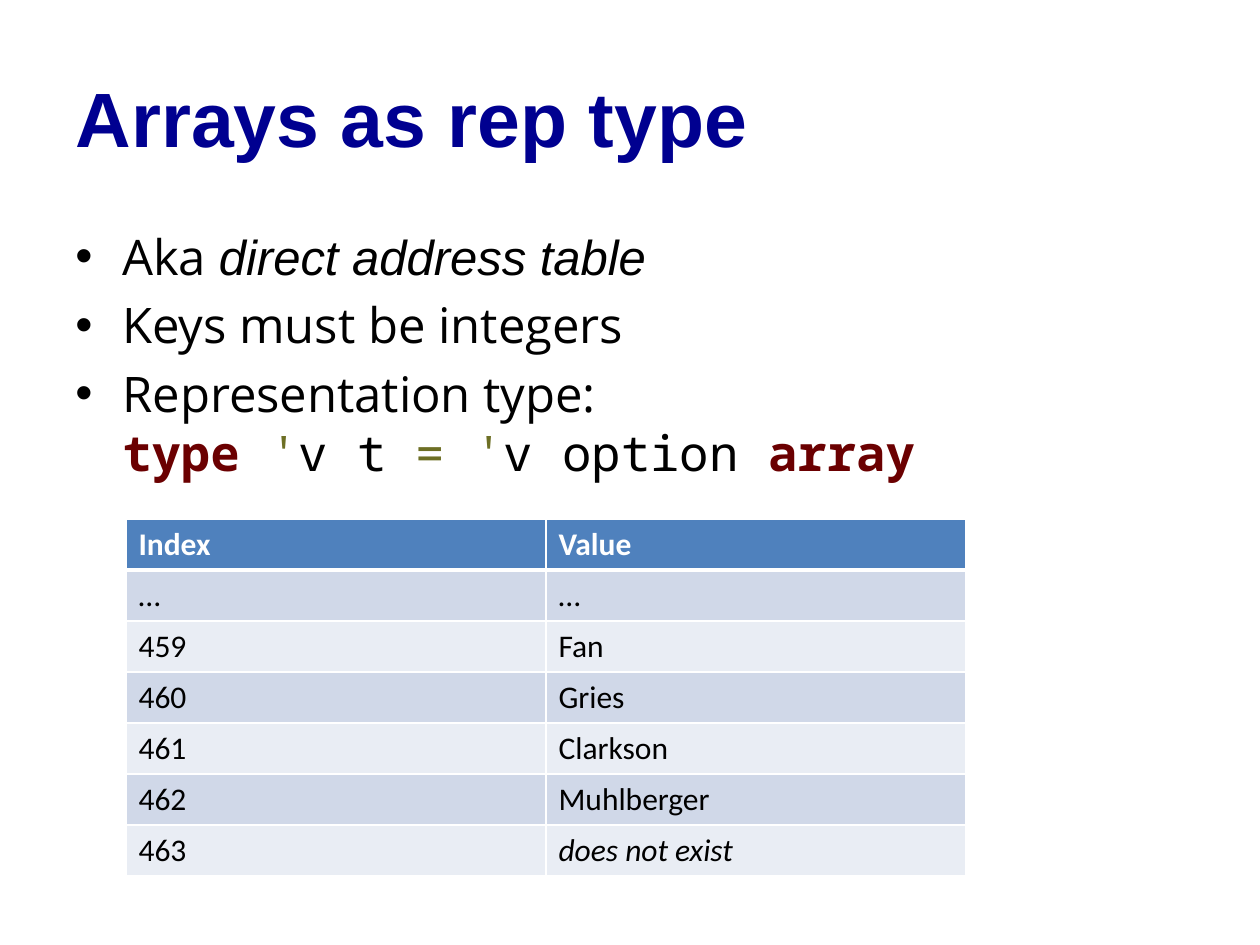
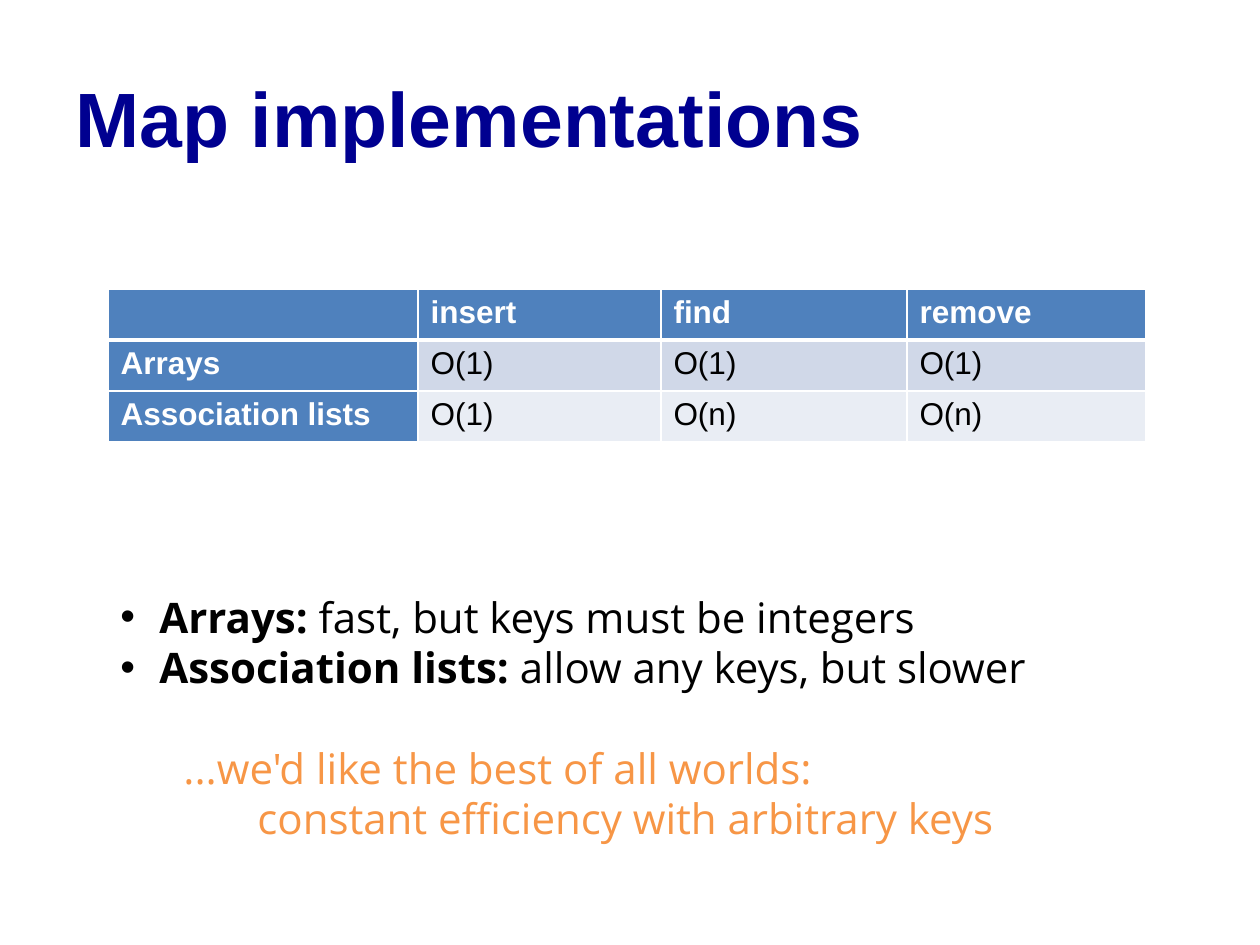
from dataclasses import dataclass
from typing import NamedTuple

from lxml.etree import SubElement
from pptx import Presentation
from pptx.dml.color import RGBColor
from pptx.enum.text import MSO_ANCHOR, PP_ALIGN
from pptx.oxml.ns import qn
from pptx.util import Emu, Pt

PIXELS_PER_INCH = 126
COLORS = {
    "title": "000090",
    "text": "000000",
    "white": "FFFFFF",
    "header": "4F81BD",
    "band_dark": "D0D8E8",
    "band_light": "E9EDF4",
    "keyword": "6B0001",
    "symbol": "6D6F24",
    "accent": "F79646",
}
HEADING_FONT, BODY_FONT, CODE_FONT = "Arial", "Open Sans", "Noto Sans Mono"
ROW_HEIGHT = 51


class Box(NamedTuple):
    """A rectangle in pixels."""
    left: int
    top: int
    width: int
    height: int


@dataclass(frozen=True)
class Words:
    """A run of text with its look; a break may come before it."""
    text: str
    font: str = BODY_FONT
    color: str = "text"
    bold: bool = False
    italic: bool = False
    new_line: bool = False


@dataclass(frozen=True)
class Line:
    """A paragraph: its runs, indent in pixels and space before in points."""
    words: tuple[Words, ...]
    indent: int = 0
    bullet: bool = False
    space_before: float = 0


@dataclass(frozen=True)
class Grid:
    """A table: its place, column widths, font and cell texts."""
    left: int
    top: int
    columns: tuple[int, ...]
    font: str
    rows: tuple[tuple[str, ...], ...]
    header_column: bool = False
    italic_texts: tuple[str, ...] = ()


def px(pixels: float) -> Emu:
    """Turn pixels into EMU."""
    return Emu(round(pixels * 914400 / PIXELS_PER_INCH))


def place(shape, box: Box) -> None:
    """Move and size a shape."""
    shape.left, shape.top, shape.width, shape.height = map(px, box)


def add_words(paragraph, words: Words, size: float) -> None:
    """Add one formatted run."""
    if words.new_line:
        paragraph.add_line_break()
    run = paragraph.add_run()
    run.text = words.text
    font = run.font
    font.name, font.size = words.font, Pt(size)
    font.bold, font.italic = words.bold, words.italic
    font.color.rgb = RGBColor.from_string(COLORS[words.color])


def add_titled_slide(presentation, title: str):
    """Add a title-only slide with the shared title style."""
    slide = presentation.slides.add_slide(presentation.slide_layouts[5])
    shape = slide.shapes.title
    place(shape, Box(63, 38, 1134, 157))
    shape.text_frame.vertical_anchor = MSO_ANCHOR.MIDDLE
    paragraph = shape.text_frame.paragraphs[0]
    paragraph.alignment = PP_ALIGN.LEFT
    add_words(paragraph, Words(title, HEADING_FONT, "title", bold=True), 44)
    return slide


def add_text(slide, box: Box, lines: tuple[Line, ...], size: float) -> None:
    """Add a wrapped text box holding the lines."""
    frame = slide.shapes.add_textbox(*map(px, box)).text_frame
    frame.word_wrap = True
    for number, line in enumerate(lines):
        paragraph = frame.add_paragraph() if number else frame.paragraphs[0]
        paragraph.space_before = Pt(line.space_before)
        properties = paragraph._p.get_or_add_pPr()
        properties.set("marL", str(px(line.indent)))
        if line.bullet:
            properties.set("indent", str(-px(line.indent)))
            SubElement(properties, qn("a:buFont"), typeface="Arial")
            SubElement(properties, qn("a:buChar"), char="•")
        for words in line.words:
            add_words(paragraph, words, size)


def style_cell(cell, fill: str, is_header_row: bool) -> None:
    """Give a cell white borders and a fill; a header row gets a thick base."""
    properties = cell._tc.get_or_add_tcPr()
    for side in ("lnL", "lnR", "lnT", "lnB"):
        width = Pt(3 if is_header_row and side == "lnB" else 1)
        border = SubElement(properties, qn(f"a:{side}"), w=str(width))
        solid = SubElement(border, qn("a:solidFill"))
        SubElement(solid, qn("a:srgbClr"), val=COLORS["white"])
    cell.fill.solid()
    cell.fill.fore_color.rgb = RGBColor.from_string(COLORS[fill])


def add_grid(slide, grid: Grid) -> None:
    """Add a banded table with header cells."""
    box = Box(grid.left, grid.top, sum(grid.columns), ROW_HEIGHT * len(grid.rows))
    table = slide.shapes.add_table(
        len(grid.rows), len(grid.columns), *map(px, box)).table
    table.first_col = grid.header_column
    for column, width in zip(table.columns, grid.columns):
        column.width = px(width)
    for row_number, texts in enumerate(grid.rows):
        table.rows[row_number].height = px(ROW_HEIGHT)
        band = "band_dark" if row_number % 2 else "band_light"
        for column_number, text in enumerate(texts):
            cell = table.cell(row_number, column_number)
            is_header = row_number == 0 or (grid.header_column and column_number == 0)
            style_cell(cell, "header" if is_header else band, row_number == 0)
            if text:
                words = Words(text, grid.font, "white" if is_header else "text",
                              is_header, text in grid.italic_texts)
                add_words(cell.text_frame.paragraphs[0], words, 18)


def build_arrays_slide(presentation) -> None:
    """Build the slide on arrays as a representation type."""
    slide = add_titled_slide(presentation, "Arrays as rep type")
    representation = (
        Words("Representation type:"),
        Words("type ", CODE_FONT, "keyword", bold=True, new_line=True),
        Words("'", CODE_FONT, "symbol"),
        Words("v t ", CODE_FONT),
        Words("= '", CODE_FONT, "symbol"),
        Words("v option ", CODE_FONT),
        Words("array", CODE_FONT, "keyword", bold=True),
    )
    points = (
        (Words("Aka "), Words("direct address table", HEADING_FONT, italic=True)),
        (Words("Keys must be integers"),),
        representation,
    )
    lines = tuple(Line(words, 47, True, 5.6) for words in points)
    add_text(slide, Box(63, 220, 1134, 697), lines, 28)
    add_grid(slide, Grid(126, 519, (420, 420), "Calibri", (
        ("Index", "Value"),
        ("…", "…"),
        ("459", "Fan"),
        ("460", "Gries"),
        ("461", "Clarkson"),
        ("462", "Muhlberger"),
        ("463", "does not exist"),
    ), italic_texts=("does not exist",)))


def build_implementations_slide(presentation) -> None:
    """Build the slide comparing map implementations."""
    slide = add_titled_slide(presentation, "Map implementations")
    add_grid(slide, Grid(108, 289, (310, 243, 246, 239), HEADING_FONT, (
        ("", "insert", "find", "remove"),
        ("Arrays", "O(1)", "O(1)", "O(1)"),
        ("Association lists", "O(1)", "O(n)", "O(n)"),
    ), header_column=True))
    add_text(slide, Box(108, 585, 1038, 267), (
        Line((Words("Arrays: ", bold=True),
              Words("fast, but keys must be integers")), 39, True),
        Line((Words("Association lists: ", bold=True),
              Words("allow any keys, but slower")), 39, True),
        Line((Words("...we'd like the best of all worlds:", color="accent"),),
             63, space_before=28.8),
        Line((Words("constant efficiency with arbitrary keys", color="accent"),), 137),
    ), 24)


def main() -> None:
    """Build and save the presentation."""
    presentation = Presentation()
    presentation.slide_width, presentation.slide_height = px(1260), px(945)
    build_arrays_slide(presentation)
    build_implementations_slide(presentation)
    presentation.save("out.pptx")


main()
